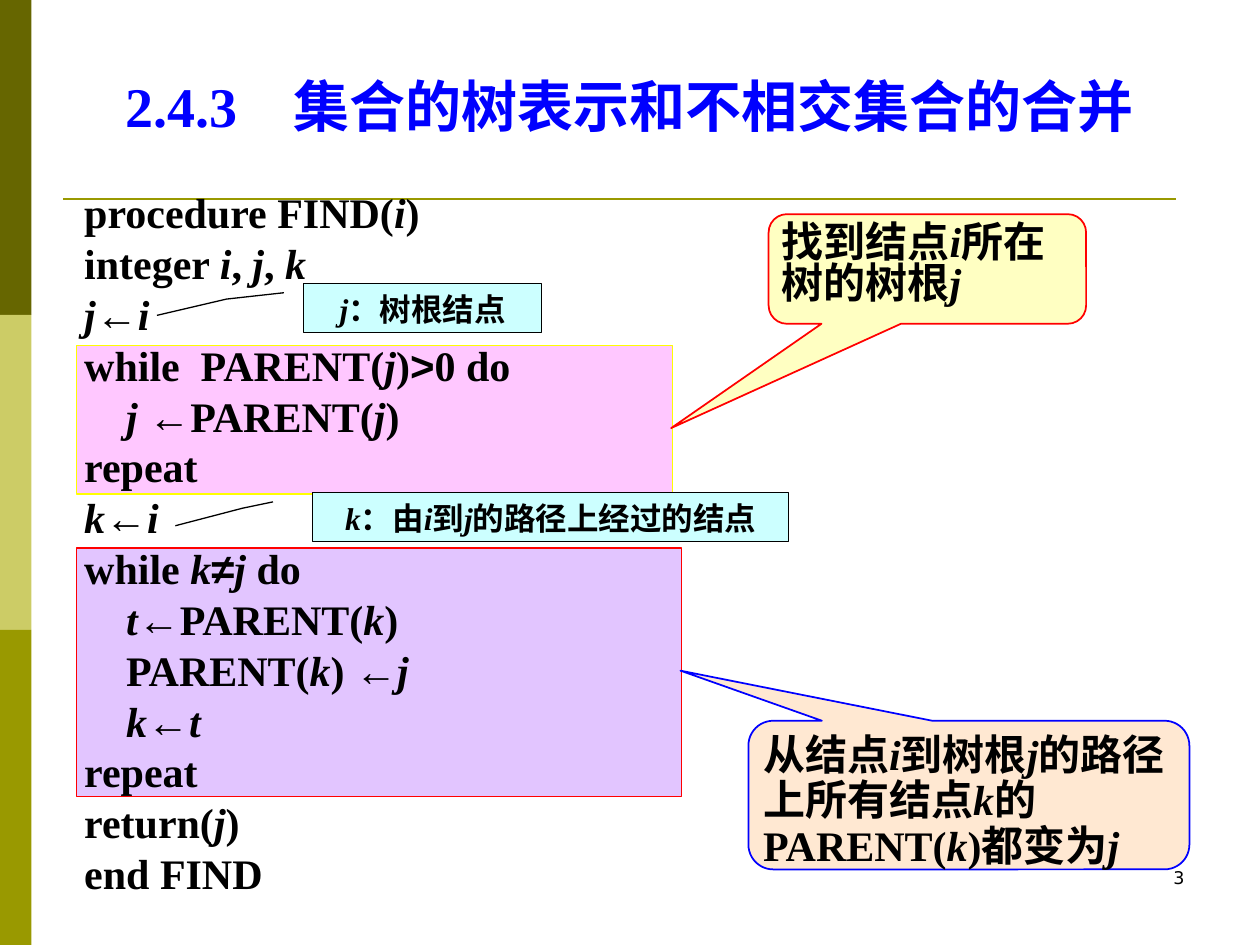
from dataclasses import dataclass

from lxml.etree import SubElement
from pptx import Presentation
from pptx.dml.color import RGBColor
from pptx.enum.shapes import MSO_CONNECTOR, MSO_SHAPE as Shape
from pptx.enum.text import MSO_ANCHOR as Anchor, PP_ALIGN as Align
from pptx.oxml.ns import qn
from pptx.util import Inches, Pt


@dataclass(frozen=True)
class Theme:
    serif: str = "Times New Roman"
    symbol: str = "Arial"
    number: str = "DejaVu Sans"
    ink: str = "000000"
    title: str = "0000FF"
    bands: tuple = ("666600", "CCCC66", "999900")
    rule: str = "999900"
    label: str = "CCFFFF"
    yellow: str = "FFFF00"
    red: str = "FF0000"
    blue: str = "0000FF"
    magenta: str = "FF00FF"
    violet: str = "CC99FF"
    peach: str = "FFCC99"
    title_size: int = 32
    code_size: int = 24
    label_size: int = 18
    number_size: int = 10


THEME = Theme()
SYMBOLS = "←≠>"

# Asterisks enclose italic variables
CODE = """procedure FIND(*i*)
integer *i*, *j*, *k*
*j*←*i*
while  PARENT(*j*)>0 do
    *j *←PARENT(*j*)
repeat
*k*←*i*
while *k*≠*j* do
    *t*←PARENT(*k*)
    PARENT(*k*) ←*j*
    *k*←*t*
repeat
return(*j*)
end FIND""".splitlines()


def inches(box):
    return [Inches(length) for length in box]


def add_span(para, text, italic=False, font=None):
    span = para.add_run()
    span.text = text
    if italic:
        span.font.italic = True
    if font:
        span.font.name = font


def add_marked_text(para, text):
    """Write italic variables, and symbols in their own font."""
    for index, part in enumerate(text.split("*")):
        plain = ""
        for letter in part:
            if letter in SYMBOLS:
                if plain:
                    add_span(para, plain, index % 2 == 1)
                add_span(para, letter, font=THEME.symbol)
                plain = ""
            else:
                plain += letter
        if plain:
            add_span(para, plain, index % 2 == 1)


def write(shape, lines, size, color=THEME.ink, font=THEME.serif, bold=True,
          align=Align.LEFT, anchor=Anchor.TOP, spacing=1.0, before=0,
          margin=0.1, wrap=True):
    frame = shape.text_frame
    frame.word_wrap = wrap
    frame.vertical_anchor = anchor
    frame.margin_left = frame.margin_right = Inches(margin)
    frame.margin_top = frame.margin_bottom = Inches(0.05)
    for index, line in enumerate(lines):
        para = frame.add_paragraph() if index else frame.paragraphs[0]
        para.alignment = align
        para.line_spacing = spacing
        para.space_before = Pt(before if index else 0)
        para.font.name = font
        para.font.size = Pt(size)
        para.font.bold = bold
        para.font.color.rgb = RGBColor.from_string(color)
        add_marked_text(para, line)


def add_box(page, kind, box, fill, line=None, width=0.75, opacity=100):
    shape = page.shapes.add_shape(kind, *inches(box))
    shape.shadow.inherit = False
    shape.fill.solid()
    shape.fill.fore_color.rgb = RGBColor.from_string(fill)
    if opacity < 100:
        color = shape.fill._xPr.find(qn("a:solidFill"))[0]
        SubElement(color, qn("a:alpha"), val=str(opacity * 1000))
    if line:
        shape.line.color.rgb = RGBColor.from_string(line)
        shape.line.width = Pt(width)
    else:
        shape.line.fill.background()
    return shape


def set_adjustments(shape, values):
    for index, value in enumerate(values):
        shape.adjustments[index] = value


def add_side_bands(page, box):
    left, top, width, height = box
    step = height / len(THEME.bands)
    for index, color in enumerate(THEME.bands):
        add_box(page, Shape.RECTANGLE, (left, top + index * step, width, step), color)


def add_rule(page, left, right, y):
    rule = page.shapes.add_connector(
        MSO_CONNECTOR.STRAIGHT, *inches((left, y, right, y)))
    rule.line.color.rgb = RGBColor.from_string(THEME.rule)
    rule.line.width = Pt(1.5)
    SubElement(rule._element.spPr, qn("a:effectLst"))


def add_title(page, box, text):
    write(page.shapes.add_textbox(*inches(box)), [text], THEME.title_size,
          THEME.title, align=Align.CENTER, anchor=Anchor.BOTTOM)


def add_page_number(page, box, text):
    write(page.shapes.add_textbox(*inches(box)), [text], THEME.number_size,
          font=THEME.number, bold=False, align=Align.RIGHT)


def add_code(page, box):
    write(page.shapes.add_textbox(*inches(box)), CODE, THEME.code_size,
          spacing=0.8, before=6)


def add_balloon(page, box, text, fill, opacity, line, tip, spacing):
    balloon = add_box(page, Shape.ROUNDED_RECTANGULAR_CALLOUT, box, fill, line, 1, opacity)
    set_adjustments(balloon, (*tip, 0.167))
    write(balloon, [text], THEME.code_size, spacing=spacing, margin=0.06)


def add_label(page, box, text, leader):
    label = add_box(page, Shape.LINE_CALLOUT_2, box, THEME.label, THEME.ink)
    set_adjustments(label, (0.188, -0.083, *leader))
    write(label, [text], THEME.label_size, align=Align.CENTER, wrap=False)


def build_find_slide(page):
    # Frame
    add_side_bands(page, (0, 0, 0.25, 7.5))
    add_rule(page, 0.5, 9.33, 1.58)
    add_page_number(page, (7.17, 6.83, 2.33, 0.5), "3")

    # Loop highlights, behind the code
    add_box(page, Shape.RECTANGLE, (0.61, 2.74, 4.73, 1.18),
            THEME.magenta, THEME.yellow, opacity=22)
    add_box(page, Shape.RECTANGLE, (0.61, 4.35, 4.8, 1.97),
            THEME.violet, THEME.red, opacity=56)

    # Title and procedure
    add_title(page, (0.5, 0.3, 9, 0.85), "2.4.3　集合的树表示和不相交集合的合并")
    add_code(page, (0.57, 1.51, 9, 5.78))

    # Explanations of the loops
    add_balloon(page, (5.94, 5.72, 3.5, 1.18),
                "从结点*i*到树根*j*的路径上所有结点*k*的PARENT(*k*)都变为*j*",
                THEME.peach, 44, THEME.blue, (-0.654, -0.837), 0.9)
    add_balloon(page, (6.1, 1.7, 2.52, 0.87), "找到结点*i*所在树的树根*j*",
                THEME.yellow, 24, THEME.red, (-0.807, 1.452), 0.8)

    # Meanings of the variables
    add_label(page, (2.41, 2.25, 1.89, 0.39), "*j*：树根结点",
              (0.317, -0.324, 0.648, -0.616))
    add_label(page, (2.48, 3.91, 3.78, 0.39), "*k*：由*i*到*j*的路径上经过的结点",
              (0.317, -0.147, 0.674, -0.288))


def main():
    deck = Presentation()
    deck.slide_width, deck.slide_height = Inches(10), Inches(7.5)
    build_find_slide(deck.slides.add_slide(deck.slide_layouts[6]))
    deck.save("out.pptx")


if __name__ == "__main__":
    main()
